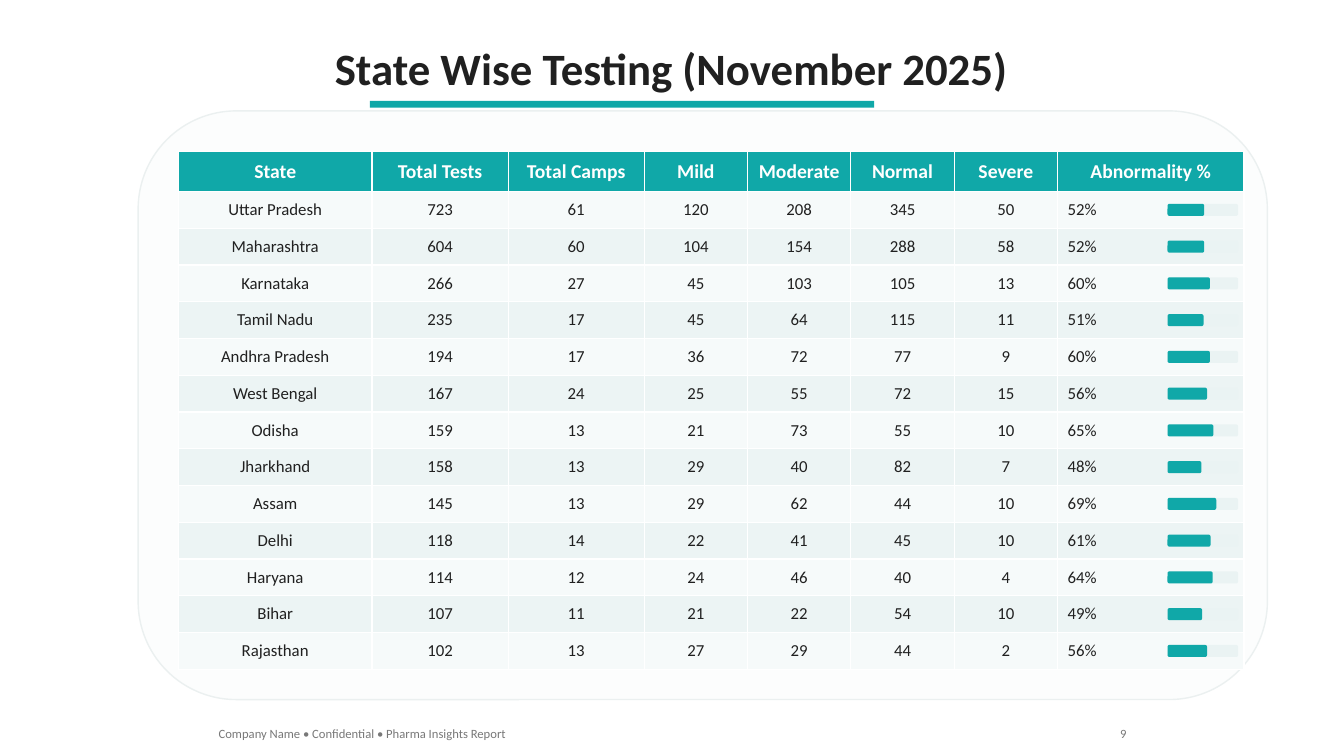
from dataclasses import dataclass

from pptx import Presentation
from pptx.dml.color import RGBColor
from pptx.enum.shapes import MSO_SHAPE as Shape
from pptx.enum.text import MSO_ANCHOR as Anchor, MSO_AUTO_SIZE as AutoSize, PP_ALIGN as Align
from pptx.util import Inches, Pt

COLORS = {
    "teal": "10A8A8", "ink": "202020", "white": "FFFFFF", "muted": "787878",
    "panel": "FCFDFD", "outline": "EBF0F0", "track": "EAF3F3",
    "odd_row": "F6FAFA", "even_row": "ECF4F4",
}
FONT = "Calibri"
WIDTH, HEIGHT = Inches(13.33), Inches(7.5)


@dataclass(frozen=True)
class Box:
    """Position and size in percent of the slide's width and height."""
    x: float
    y: float
    w: float
    h: float

    def emu(self) -> tuple[int, int, int, int]:
        return across(self.x), down(self.y), across(self.w), down(self.h)


@dataclass(frozen=True)
class Column:
    title: str
    width: float


@dataclass(frozen=True)
class State:
    name: str
    tests: int
    camps: int
    mild: int
    moderate: int
    normal: int
    severe: int

    @property
    def abnormality(self) -> int:
        return 100 * (self.tests - self.normal) // self.tests

    def cells(self) -> list[str]:
        return [self.name, *map(str, (self.tests, self.camps, self.mild, self.moderate,
                                      self.normal, self.severe)), f"{self.abnormality}%"]


COLUMNS = [
    Column("State", 14.4), Column("Total Tests", 10.13), Column("Total Camps", 10.13),
    Column("Mild", 7.69), Column("Moderate", 7.69), Column("Normal", 7.69),
    Column("Severe", 7.69), Column("Abnormality %", 13.88),
]
STATES = [
    State("Uttar Pradesh", 723, 61, 120, 208, 345, 50),
    State("Maharashtra", 604, 60, 104, 154, 288, 58),
    State("Karnataka", 266, 27, 45, 103, 105, 13),
    State("Tamil Nadu", 235, 17, 45, 64, 115, 11),
    State("Andhra Pradesh", 194, 17, 36, 72, 77, 9),
    State("West Bengal", 167, 24, 25, 55, 72, 15),
    State("Odisha", 159, 13, 21, 73, 55, 10),
    State("Jharkhand", 158, 13, 29, 40, 82, 7),
    State("Assam", 145, 13, 29, 62, 44, 10),
    State("Delhi", 118, 14, 22, 41, 45, 10),
    State("Haryana", 114, 12, 24, 46, 40, 4),
    State("Bihar", 107, 11, 21, 22, 54, 10),
    State("Rajasthan", 102, 13, 27, 29, 44, 2),
]
TABLE = Box(13.28, 20, 79.29, 68.53)
HEADER_H = 5.33
ROW_H = (TABLE.h - HEADER_H) / len(STATES)
BAR_X, BAR_W, BAR_H = 86.87, 5.25, 1.6


def across(percent: float) -> int:
    return round(WIDTH * percent / 100)


def down(percent: float) -> int:
    return round(HEIGHT * percent / 100)


def rgb(name: str) -> RGBColor:
    return RGBColor.from_string(COLORS[name])


def write(tf, text: str, size: int, color: str, align=Align.LEFT, bold=False) -> None:
    tf.text = text
    p = tf.paragraphs[0]
    p.alignment = align
    p.font.name, p.font.size, p.font.bold = FONT, Pt(size), bold
    p.font.color.rgb = rgb(color)


def fit_to_text(tf) -> None:
    tf.word_wrap = False
    tf.auto_size = AutoSize.SHAPE_TO_FIT_TEXT
    tf.vertical_anchor = Anchor.TOP


def add_block(slide, kind, box: Box, fill: str, line: str | None = None) -> None:
    sp = slide.shapes.add_shape(kind, *box.emu())
    sp.shadow.inherit = False
    sp.fill.solid()
    sp.fill.fore_color.rgb = rgb(fill)
    if line:
        sp.line.color.rgb = rgb(line)
        sp.line.width = Pt(1)
    else:
        sp.line.fill.background()


def add_title(slide, text: str, box: Box) -> None:
    sp = slide.shapes.title
    sp.left, sp.top, sp.width, sp.height = box.emu()
    write(sp.text_frame, text, 32, "ink", Align.CENTER, True)
    fit_to_text(sp.text_frame)


def add_footer(slide, text: str, box: Box, align) -> None:
    tf = slide.shapes.add_textbox(*box.emu()).text_frame
    write(tf, text, 9, "muted", align)
    fit_to_text(tf)


def fill_row(cells, texts: list[str], fill: str, header: bool) -> None:
    for i, (cell, text) in enumerate(zip(cells, texts)):
        cell.fill.solid()
        cell.fill.fore_color.rgb = rgb(fill)
        cell.vertical_anchor = Anchor.MIDDLE
        align = Align.CENTER if header or i < len(COLUMNS) - 1 else Align.LEFT
        size, color = (14, "white") if header else (12, "ink")
        write(cell.text_frame, text, size, color, align, header)


def add_state_table(slide) -> None:
    table = slide.shapes.add_table(len(STATES) + 1, len(COLUMNS), *TABLE.emu()).table
    table.horz_banding = False
    for col, column in zip(table.columns, COLUMNS):
        col.width = across(column.width)
    rows = [[column.title for column in COLUMNS], *(state.cells() for state in STATES)]
    for i, (row, texts) in enumerate(zip(table.rows, rows)):
        row.height = down(ROW_H if i else HEADER_H)
        fill = "teal" if i == 0 else "odd_row" if i % 2 else "even_row"
        fill_row(row.cells, texts, fill, header=i == 0)


def add_abnormality_bars(slide) -> None:
    for i, state in enumerate(STATES):
        y = TABLE.y + HEADER_H + (i + 0.5) * ROW_H - BAR_H / 2
        for width, fill in ((BAR_W, "track"), (BAR_W * state.abnormality / 100, "teal")):
            add_block(slide, Shape.ROUNDED_RECTANGLE, Box(BAR_X, y, width, BAR_H), fill)


def main() -> None:
    prs = Presentation()
    prs.slide_width, prs.slide_height = WIDTH, HEIGHT
    slide = prs.slides.add_slide(prs.slide_layouts[5])

    # Title and panel
    add_title(slide, "State Wise Testing (November 2025)", Box(23.93, 4.67, 52.06, 8.53))
    add_block(slide, Shape.RECTANGLE, Box(27.53, 13.33, 37.51, 0.93), "teal")
    add_block(slide, Shape.ROUNDED_RECTANGLE, Box(10.28, 14.67, 84.02, 77.87), "panel", "outline")

    # Results by state
    add_state_table(slide)
    add_abnormality_bars(slide)

    # Footer
    add_footer(slide, "Company Name • Confidential • Pharma Insights Report",
               Box(15.53, 95.33, 22.88, 3.33), Align.LEFT)
    add_footer(slide, "9", Box(82.52, 95.33, 2.03, 3.33), Align.RIGHT)

    prs.save("out.pptx")


if __name__ == "__main__":
    main()
